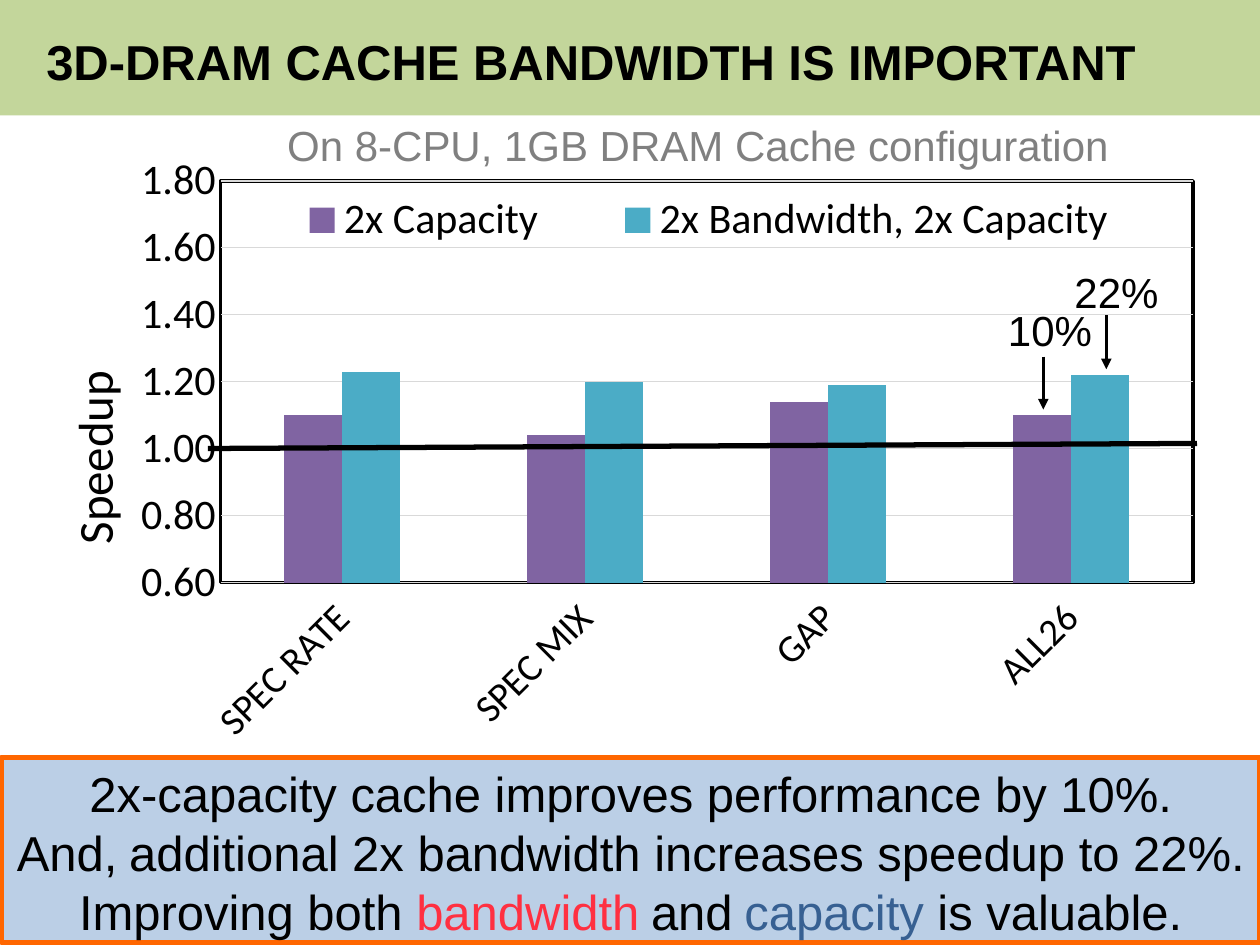
from dataclasses import dataclass

from lxml import etree
from pptx import Presentation
from pptx.chart.data import CategoryChartData
from pptx.dml.color import RGBColor
from pptx.enum.chart import XL_CHART_TYPE, XL_LEGEND_POSITION, XL_TICK_LABEL_POSITION, XL_TICK_MARK
from pptx.enum.shapes import MSO_CONNECTOR, MSO_SHAPE
from pptx.enum.text import MSO_ANCHOR, PP_ALIGN
from pptx.oxml import parse_xml
from pptx.oxml.ns import nsdecls, qn
from pptx.util import Pt

COLUMNS = XL_CHART_TYPE.COLUMN_CLUSTERED
LEGEND_TOP = XL_LEGEND_POSITION.TOP
LABELS_LOW = XL_TICK_LABEL_POSITION.LOW
NO_TICK = XL_TICK_MARK.NONE
STRAIGHT = MSO_CONNECTOR.STRAIGHT
RECT = MSO_SHAPE.RECTANGLE
TOP, MIDDLE = MSO_ANCHOR.TOP, MSO_ANCHOR.MIDDLE
LEFT, CENTER = PP_ALIGN.LEFT, PP_ALIGN.CENTER


@dataclass(frozen=True)
class Theme:
    font: str = "Arial"
    chart_font: str = "Calibri"
    ink: str = "000000"
    band: str = "C3D69B"
    grey: str = "808080"
    grid: str = "D9D9D9"
    box: str = "BBCFE6"
    box_edge: str = "FF6600"
    red: str = "FF3041"
    blue: str = "376092"
    series: tuple = ("8064A2", "4BACC6")
    large: int = 28
    medium: int = 24
    category: int = 22


def rgb(value):
    return RGBColor.from_string(value)


def set_layout(element, index, inner=False, **fractions):
    """Place a chart part by fractions of the chart area (x, y, w, h)."""
    for old in element.findall(qn("c:layout")):
        element.remove(old)
    layout = parse_xml(f"<c:layout {nsdecls('c')}><c:manualLayout/></c:layout>")
    settings = {"layoutTarget": "inner"} if inner else {}
    settings.update({f"{key}Mode": "edge" for key in ("x", "y")})
    settings.update(fractions)
    for tag, value in settings.items():
        etree.SubElement(layout[0], qn(f"c:{tag}")).set("val", str(value))
    element.insert(index, layout)


class SlideBuilder:
    def __init__(self, slide, theme):
        self.s = slide
        self.theme = theme

    def style_font(self, font, color=None, **formats):
        formats = {"name": self.theme.font, "bold": False, **formats}
        for key, value in formats.items():
            setattr(font, key, value)
        font.color.rgb = rgb(color or self.theme.ink)

    def fill_text(self, tf, lines, align, anchor, **formats):
        """Each line is a list of (text, overriding formats) runs."""
        tf.vertical_anchor = anchor
        for i, line in enumerate(lines):
            p = tf.paragraphs[0] if i == 0 else tf.add_paragraph()
            p.alignment = align
            for text, changes in line:
                r = p.add_run()
                r.text = text
                self.style_font(r.font, **{**formats, **changes})

    def text(self, box, text, align=LEFT, anchor=TOP, wrap=True, **formats):
        tf = self.s.shapes.add_textbox(*map(Pt, box)).text_frame
        tf.word_wrap = wrap
        self.fill_text(tf, [[(text, {})]], align, anchor, **formats)

    def rect(self, box, fill, edge=None, width=3):
        sp = self.s.shapes.add_shape(RECT, *map(Pt, box))
        sp.shadow.inherit = False
        sp.fill.solid()
        sp.fill.fore_color.rgb = rgb(fill)
        if edge:
            sp.line.color.rgb = rgb(edge)
            sp.line.width = Pt(width)
        else:
            sp.line.fill.background()
        return sp

    def line(self, points, width, arrow=False):
        cxn = self.s.shapes.add_connector(STRAIGHT, *map(Pt, points))
        cxn.line.color.rgb = rgb(self.theme.ink)
        cxn.line.width = Pt(width)
        props = cxn._element.spPr
        if arrow:
            etree.SubElement(props.find(qn("a:ln")), qn("a:tailEnd")).set("type", "triangle")
        etree.SubElement(props, qn("a:effectLst"))

    def column_chart(self, box, categories, series):
        data = CategoryChartData(number_format="0.00")
        data.categories = categories
        for name, values in series.items():
            data.add_series(name, values)
        chart = self.s.shapes.add_chart(COLUMNS, *map(Pt, box), data).chart
        chart.has_title = False
        self.style_font(chart.font, name=self.theme.chart_font, size=Pt(10))
        plot = chart.plots[0]
        plot.gap_width, plot.overlap, plot.vary_by_categories = 219, 0, False
        for ser, color in zip(plot.series, self.theme.series):
            ser.format.fill.solid()
            ser.format.fill.fore_color.rgb = rgb(color)
        self.style_axes(chart)
        self.style_legend(chart)
        area = chart._chartSpace.chart.plotArea
        set_layout(area, 0, inner=True, x=0.177, y=0.061, w=0.803, h=0.655)
        area.append(parse_xml(
            f'<c:spPr {nsdecls("c", "a")}><a:noFill/><a:ln w="{Pt(2)}"><a:solidFill>'
            f'<a:srgbClr val="{self.theme.ink}"/></a:solidFill></a:ln></c:spPr>'))

    def style_axes(self, chart):
        t = self.theme
        cat, val = chart.category_axis, chart.value_axis
        for axis, size in ((cat, t.category), (val, t.medium)):
            axis.major_tick_mark = axis.minor_tick_mark = NO_TICK
            self.style_font(axis.tick_labels.font, name=t.chart_font, size=Pt(size))
        cat.tick_label_position = LABELS_LOW
        cat.format.line.fill.background()
        cat._element.find(qn("c:txPr")).find(qn("a:bodyPr")).set("rot", str(-45 * 60000))
        val.minimum_scale, val.maximum_scale, val.major_unit = 0.6, 1.8, 0.2
        val.tick_labels.number_format = "#,##0.00"
        val.tick_labels.number_format_is_linked = False
        val.has_major_gridlines = True
        for line, color in ((val.format.line, t.ink), (val.major_gridlines.format.line, t.grid)):
            line.color.rgb = rgb(color)
            line.width = Pt(0.75)
        title = val.axis_title
        self.fill_text(title.text_frame, [[("Speedup", {})]], CENTER, MIDDLE,
                       name=t.chart_font, size=Pt(t.large))
        body = title.text_frame._txBody.find(qn("a:bodyPr"))
        body.set("rot", str(-90 * 60000))
        body.set("vert", "horz")
        set_layout(title._element, 1, x=0.038, y=0.357)

    def style_legend(self, chart):
        chart.has_legend = True
        legend = chart.legend
        legend.position = LEGEND_TOP
        legend.include_in_layout = True
        self.style_font(legend.font, name=self.theme.chart_font, size=Pt(self.theme.medium))
        set_layout(legend._element, 1, x=0.19, y=0.08, w=0.78, h=0.09)


def main():
    prs = Presentation()
    prs.slide_width, prs.slide_height = Pt(720), Pt(540)
    t = Theme()
    b = SlideBuilder(prs.slides.add_slide(prs.slide_layouts[6]), t)

    b.rect((0, 0, 720, 66), t.band)
    b.column_chart(
        (3.6, 82, 692, 350.6),
        ["SPEC RATE", "SPEC MIX", "GAP", "ALL26"],
        {"2x Capacity": (1.1, 1.04, 1.14, 1.1),
         "2x Bandwidth, 2x Capacity": (1.23, 1.2, 1.19, 1.22)})
    b.text((19.4, 16, 700, 38), "3D-DRAM CACHE BANDWIDTH IS IMPORTANT",
           anchor=MIDDLE, size=Pt(t.large), bold=True)

    takeaway = b.rect((0.7, 432.7, 719.3, 105.8), t.box, t.box_edge)
    takeaway.text_frame.word_wrap = True
    gap = (" ", {"size": Pt(t.medium)})
    b.fill_text(takeaway.text_frame, [
        [("2x-capacity cache improves performance by 10%.", {})],
        [("And,", {}), gap, ("additional 2x bandwidth increases speedup to 22%.", {})],
        [("Improving both ", {}), ("bandwidth", {"color": t.red}), gap, ("and", {}), gap,
         ("capacity", {"color": t.blue}), (" is valuable.", {})],
    ], CENTER, TOP, size=Pt(t.large))

    b.line((118.8, 256.3, 684, 253.4), 3)
    for x, top, bottom in ((596.2, 203.8, 234), (632.2, 180, 211)):
        b.line((x, top, x, bottom), 2, arrow=True)

    b.text((157, 64.8, 489, 36), "On 8-CPU, 1GB DRAM Cache configuration",
           wrap=False, size=Pt(t.medium), color=t.grey)
    for box, gain in (((568, 170.6, 64, 36), "10%"), ((589, 149, 98, 36), "22%")):
        b.text(box, gain, align=CENTER, size=Pt(t.medium))
    prs.save("out.pptx")


if __name__ == "__main__":
    main()
